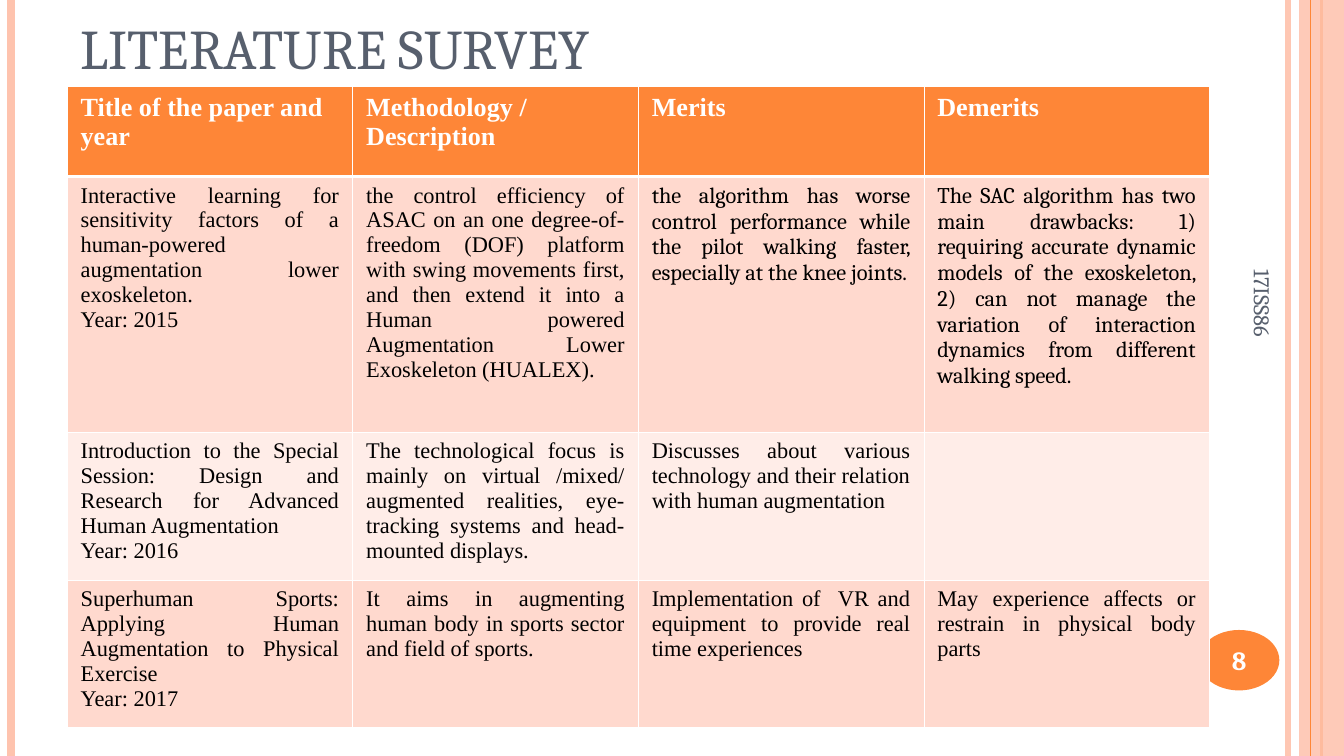
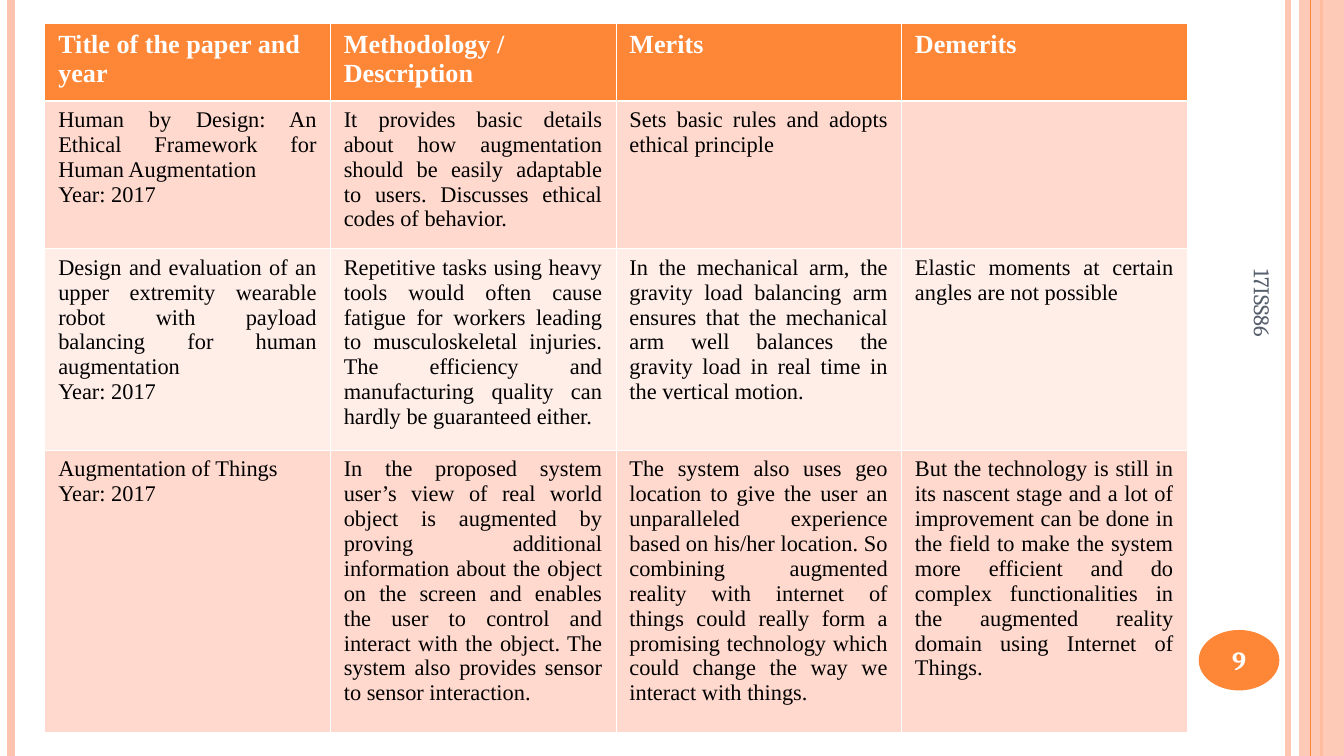
from itertools import accumulate

from lxml import etree
from pptx import Presentation
from pptx.dml.color import RGBColor
from pptx.enum import shapes, text
from pptx.oxml import ns
from pptx.util import Pt

PAGE_W, PAGE_H = 720, 405
ORANGE, PEACH, SLATE = "FE8637", "FEC3AE", "575F6D"
WHITE, BLACK = "FFFFFF", "000000"
ROW_TINTS = ["FFEDE8", "FFD9CE"]
SERIF, BODY = "Cambria", "Times New Roman"
SUBJECT_CODE = "17ISS86"
HEADINGS = ["Title of the paper and year", "Methodology / Description", "Merits", "Demerits"]

EARLY_PAPERS = [
    ["Interactive learning for sensitivity factors of a human-powered augmentation lower exoskeleton.\nYear: 2015",
     "the control efficiency of ASAC on an one degree-of-freedom (DOF) platform with swing movements first, "
     "and then extend it into a Human powered Augmentation Lower Exoskeleton (HUALEX). ",
     "the algorithm has worse control performance while the pilot walking faster, especially at the knee joints.",
     "The SAC algorithm has two main drawbacks: 1) requiring accurate dynamic models of the exoskeleton, "
     "2) can not manage the variation of interaction dynamics from different walking speed."],
    ["Introduction to the Special Session: Design and Research for Advanced Human Augmentation\nYear: 2016",
     "The technological focus is mainly on virtual /mixed/ augmented realities, eye-tracking systems "
     "and head-mounted displays. ",
     "Discusses about various technology and their relation with human augmentation",
     ""],
    ["Superhuman Sports: Applying Human Augmentation to Physical Exercise\nYear: 2017",
     "It aims in augmenting human body in sports sector and field of sports.",
     "Implementation of  VR and equipment to provide real time experiences",
     "May experience affects or restrain in physical body parts"],
]

LATER_PAPERS = [
    ["Human by Design: An Ethical Framework for Human Augmentation\nYear: 2017",
     "It provides basic details about how augmentation should be easily adaptable to users. "
     "Discusses ethical codes of behavior.",
     "Sets basic rules and adopts ethical principle",
     ""],
    ["Design and evaluation of an upper extremity wearable robot with payload balancing "
     "for human augmentation\nYear: 2017",
     "Repetitive tasks using heavy tools would often cause fatigue for workers leading to musculoskeletal "
     "injuries. The efficiency and manufacturing quality can hardly be guaranteed either.",
     "In the mechanical arm, the gravity load balancing arm ensures that the mechanical arm well balances "
     "the gravity load in real time in the vertical motion.",
     "Elastic moments at certain angles are not possible"],
    ["Augmentation of Things\nYear: 2017",
     "In the proposed system user’s view of real world object is augmented by proving additional information "
     "about the object on the screen and enables the user to control and interact with the object. "
     "The system also provides sensor to sensor interaction. ",
     "The system also uses geo location to give the user an unparalleled experience based on his/her location. "
     "So combining augmented reality with internet of things could really form a promising technology "
     "which could change the way we interact with things. ",
     "But the technology is still in its nascent stage and a lot of improvement can be done in the field "
     "to make the system more efficient and do complex functionalities in the augmented reality domain "
     "using Internet of Things. "],
]


def rgb(value):
    return RGBColor.from_string(value)


def points(*lengths):
    return [Pt(length) for length in lengths]


def set_opacity(shape, percent):
    for colour in shape._element.spPr.iter(ns.qn("a:srgbClr")):
        etree.SubElement(colour, ns.qn("a:alpha"), val=str(percent * 1000))


def style_font(font, size, colour, name=SERIF, bold=False):
    font.size, font.name, font.bold = Pt(size), name, bold
    font.color.rgb = rgb(colour)


def add_label(slide, box, words, size, colour, bold=False,
              align=text.PP_ALIGN.LEFT, anchor=text.MSO_ANCHOR.MIDDLE):
    label = slide.shapes.add_textbox(*points(*box))
    frame = label.text_frame
    frame.word_wrap = True
    frame.vertical_anchor = anchor
    frame.text = words
    frame.paragraphs[0].alignment = align
    style_font(frame.paragraphs[0].font, size, colour, bold=bold)
    return label


def add_solid(slide, kind, box, colour):
    solid = slide.shapes.add_shape(kind, *points(*box))
    solid.shadow.inherit = False
    solid.fill.solid()
    solid.fill.fore_color.rgb = rgb(colour)
    solid.line.fill.background()
    return solid


def add_stripe(slide, x, colour, width):
    stripe = slide.shapes.add_connector(shapes.MSO_CONNECTOR.STRAIGHT, *points(x, 0, x, PAGE_H))
    stripe.line.color.rgb = rgb(colour)
    stripe.line.width = Pt(width)
    etree.SubElement(stripe._element.spPr, ns.qn("a:effectLst"))
    return stripe


def add_edges(slide):
    set_opacity(add_stripe(slide, 690, PEACH, 3), 93)
    add_stripe(slide, 6, PEACH, 4.5)
    add_stripe(slide, 708, ORANGE, 1.5)
    band = add_solid(slide, shapes.MSO_SHAPE.RECTANGLE, (696, 0, PAGE_W - 696, PAGE_H), PEACH)
    set_opacity(band, 87)
    add_stripe(slide, 702, ORANGE, 0.75)


def add_page_badge(slide, box, number):
    left, top, width, height = box
    add_solid(slide, shapes.MSO_SHAPE.OVAL, box, ORANGE)
    add_label(slide, (left - 2.4, top + 0.9, width + 4.8, height - 1.8), str(number), 14, WHITE,
              bold=True, align=text.PP_ALIGN.CENTER)


def set_borders(cell, top, bottom):
    properties = cell._tc.get_or_add_tcPr()
    widths = {"a:lnL": 0.45, "a:lnR": 0.45, "a:lnT": top, "a:lnB": bottom}
    for position, (side, width) in enumerate(widths.items()):
        border = etree.Element(ns.qn(side), w=str(Pt(width)))
        paint = etree.SubElement(border, ns.qn("a:solidFill"))
        etree.SubElement(paint, ns.qn("a:srgbClr"), val=WHITE)
        properties.insert(position, border)


def fill_cell(cell, words, row, font_name):
    heading = row == 0
    cell.fill.solid()
    cell.fill.fore_color.rgb = rgb(ORANGE if heading else ROW_TINTS[row % 2])
    set_borders(cell, 1.47 if row == 1 else 0.45, 1.47 if heading else 0.45)
    cell.text_frame.text = words
    for paragraph in cell.text_frame.paragraphs:
        ragged = heading or paragraph.text.startswith("Year")
        paragraph.alignment = text.PP_ALIGN.LEFT if ragged else text.PP_ALIGN.JUSTIFY
        style_font(paragraph.font, 14 if heading else 12, WHITE if heading else BLACK, font_name, heading)


def add_survey(slide, left, top, width, row_heights, papers, serif_cells=()):
    rows = [HEADINGS, *papers]
    survey = slide.shapes.add_table(
        len(rows), len(HEADINGS), *points(left, top, width, sum(row_heights))).table
    for column in survey.columns:
        column.width = Pt(width / len(HEADINGS))
    for r, (height, entries) in enumerate(zip(row_heights, rows)):
        survey.rows[r].height = Pt(height)
        for c, words in enumerate(entries):
            fill_cell(survey.cell(r, c), words, r, SERIF if (r, c) in serif_cells else BODY)


def add_survey_slide(deck, number, survey, title=None):
    slide = deck.slides.add_slide(deck.slide_layouts[6])
    add_edges(slide)
    if title:
        add_label(slide, (36, -21, 588, 67.7), title, 30, SLATE, anchor=text.MSO_ANCHOR.BOTTOM)
    add_page_badge(slide, (642.2, 337.5, 43.2, 32.4), number)
    add_survey(slide, **survey)
    add_label(slide, (581.8, 217.4, 189.4, 28.8), SUBJECT_CODE, 12, SLATE).rotation = 90


def main():
    deck = Presentation()
    deck.slide_width, deck.slide_height = points(PAGE_W, PAGE_H)
    add_survey_slide(deck, 8, dict(
        left=36, top=46.5, width=612, row_heights=[48, 137, 79, 79],
        papers=EARLY_PAPERS, serif_cells={(1, 2), (1, 3)}), "LITERATURE SURVEY")
    add_survey_slide(deck, 9, dict(
        left=24, top=12.5, width=612, row_heights=[41.5, 79, 108, 151], papers=LATER_PAPERS))
    deck.save("out.pptx")


if __name__ == "__main__":
    main()
